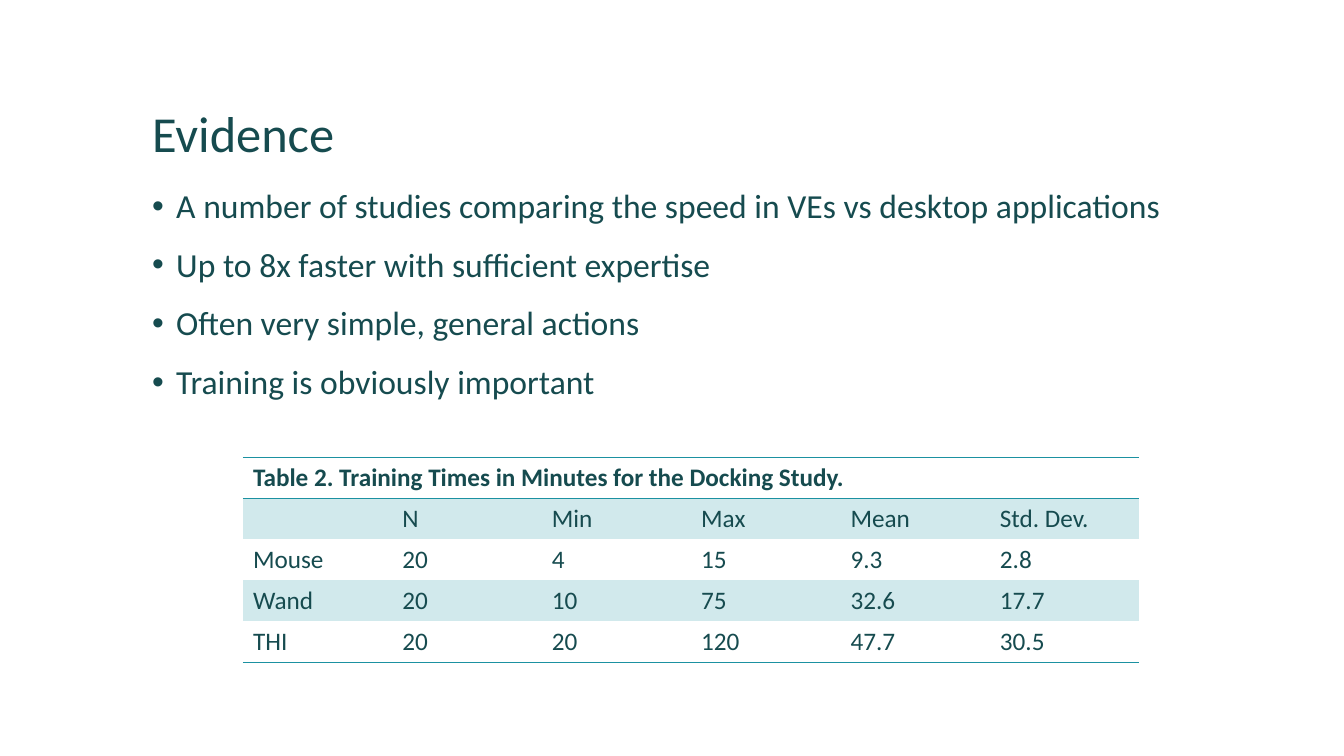
from lxml import etree
from pptx import Presentation
from pptx.dml.color import RGBColor
from pptx.enum.text import MSO_ANCHOR
from pptx.oxml.ns import qn
from pptx.util import Inches, Pt

TITLE = "Evidence"
POINTS = [
    "A number of studies comparing the speed in VEs vs desktop applications",
    "Up to 8x faster with sufficient expertise",
    "Often very simple, general actions",
    "Training is obviously important",
]
CAPTION = "Table 2. Training Times in Minutes for the Docking Study."
ROWS = [
    (CAPTION, "", "", "", "", ""),
    ("", "N", "Min", "Max", "Mean", "Std. Dev."),
    ("Mouse", "20", "4", "15", "9.3", "2.8"),
    ("Wand", "20", "10", "75", "32.6", "17.7"),
    ("THI", "20", "20", "120", "47.7", "30.5"),
]
RULES = {0, 1, len(ROWS)}  # row edges that carry a line
COLORS = {"text": "164B4F", "line": "1B91A1", "band": "D1E9EC", "page": "FFFFFF"}
FONT = "Calibri"
BOTTOM = MSO_ANCHOR.BOTTOM
LEFT, WIDTH = 1.41, 10.5


def color(name):
    return RGBColor.from_string(COLORS[name])


def style(para, size, bold=False):
    font = para.font
    font.name, font.size, font.bold = FONT, Pt(size), bold
    font.color.rgb = color("text")


def add_box(slide, top, height):
    box = slide.shapes.add_textbox(
        Inches(LEFT), Inches(top), Inches(WIDTH), Inches(height))
    box.text_frame.word_wrap = True
    return box.text_frame


def add_bullet(para):
    props = para._p.get_or_add_pPr()
    props.set("marL", str(Inches(0.24)))
    props.set("indent", str(-Inches(0.24)))
    font = etree.SubElement(props, qn("a:buFont"))
    font.set("typeface", "Arial")
    mark = etree.SubElement(props, qn("a:buChar"))
    mark.set("char", "•")


def set_edges(cell, row):
    """Draw the ruled top and bottom edges and clear every other edge."""
    props = cell._tc.get_or_add_tcPr()
    ruled = {"lnL": False, "lnR": False,
             "lnT": row in RULES, "lnB": row + 1 in RULES}
    for place, (tag, drawn) in enumerate(ruled.items()):
        line = etree.Element(qn("a:" + tag), w=str(Pt(1)))
        if drawn:
            fill = etree.SubElement(line, qn("a:solidFill"))
            etree.SubElement(fill, qn("a:srgbClr"), val=COLORS["line"])
        else:
            etree.SubElement(line, qn("a:noFill"))
        props.insert(place, line)


def add_times(slide):
    count = len(ROWS[0])
    table = slide.shapes.add_table(
        len(ROWS), count, Inches(2.41), Inches(4.54),
        Inches(8.89), Inches(2.03)).table
    table.first_row = table.horz_banding = False
    for r, values in enumerate(ROWS):
        for c, value in enumerate(values):
            cell = table.cell(r, c)
            cell.text = value
            style(cell.text_frame.paragraphs[0], 18, bold=r == 0)
            cell.fill.solid()
            cell.fill.fore_color.rgb = color("band" if r % 2 else "page")
            set_edges(cell, r)
    table.cell(0, 0).merge(table.cell(0, count - 1))


def main():
    deck = Presentation()
    deck.slide_width, deck.slide_height = Inches(13.33), Inches(7.5)
    slide = deck.slides.add_slide(deck.slide_layouts[6])
    slide.background.fill.solid()
    slide.background.fill.fore_color.rgb = color("page")

    head = add_box(slide, 0.42, 1.25)
    head.vertical_anchor = BOTTOM
    head.text = TITLE
    head.paragraphs[0].line_spacing = 0.9
    style(head.paragraphs[0], 36)

    body = add_box(slide, 1.83, 4.92)
    body.text = "\n".join(POINTS)
    for i, para in enumerate(body.paragraphs):
        para.line_spacing = 0.9
        para.space_before = Pt(16 if i else 0)
        add_bullet(para)
        style(para, 24)

    add_times(slide)
    deck.save("out.pptx")


if __name__ == "__main__":
    main()
